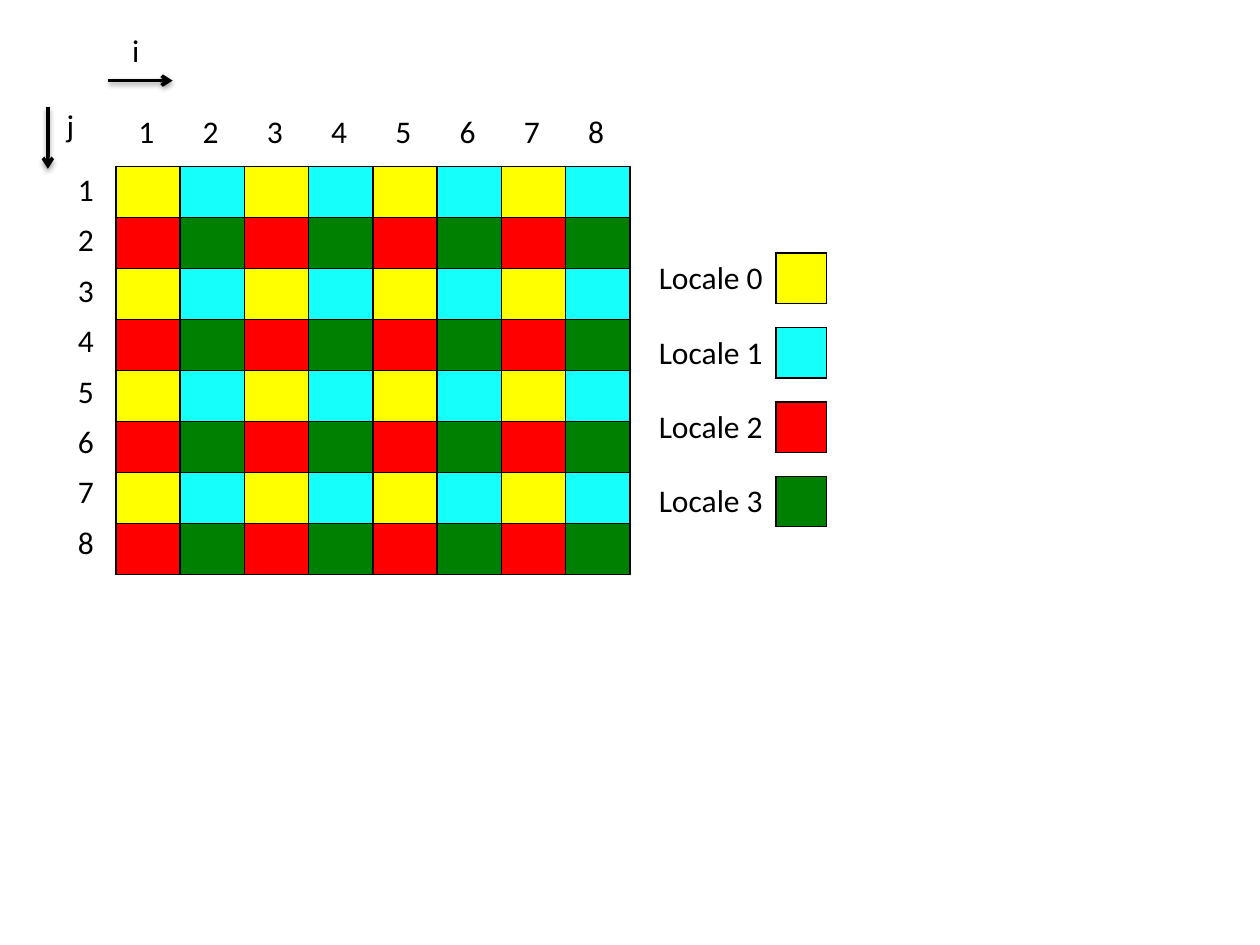
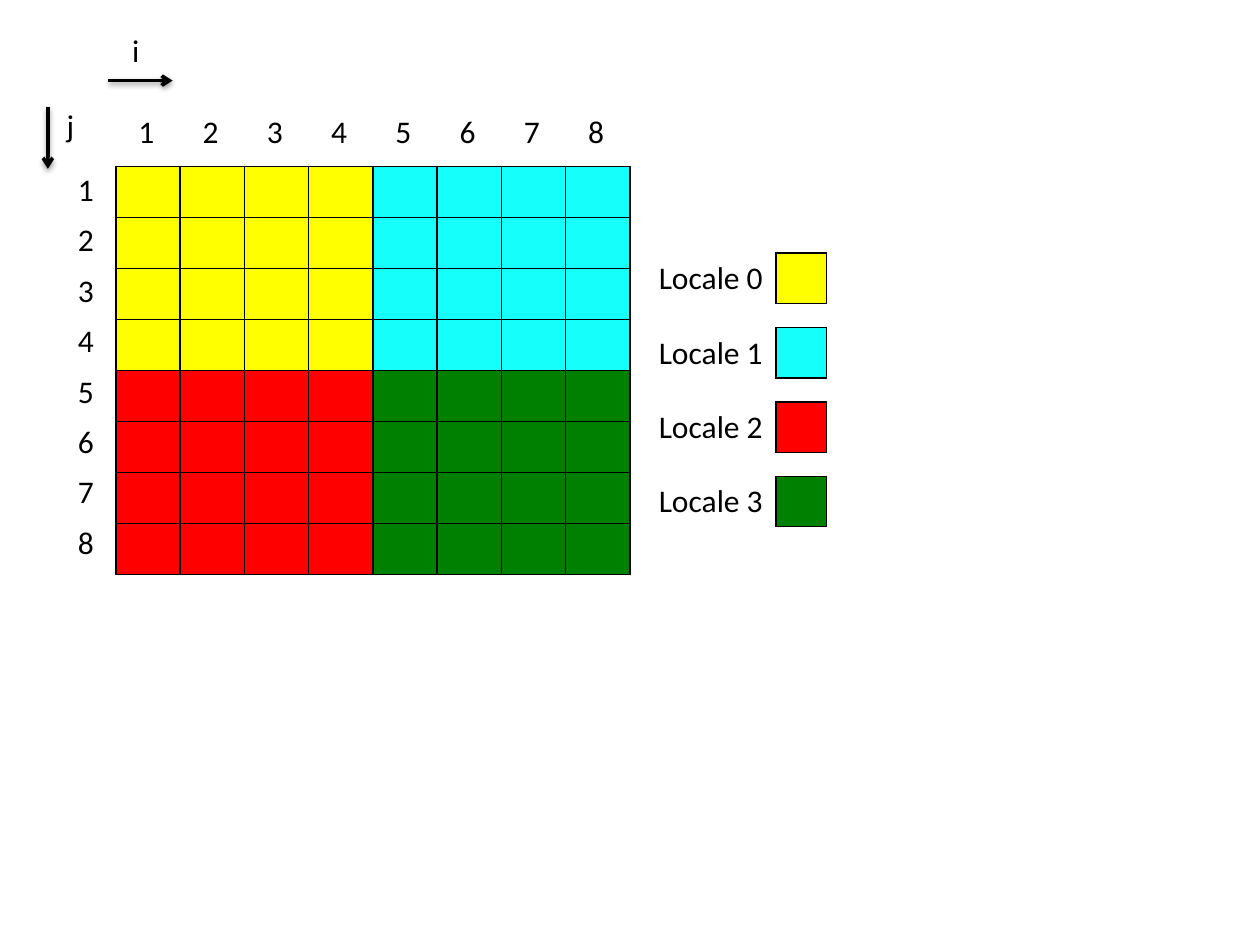
from lxml.etree import SubElement
from pptx import Presentation
from pptx.dml.color import RGBColor
from pptx.enum.shapes import MSO_CONNECTOR
from pptx.oxml import parse_xml
from pptx.oxml.ns import nsdecls, qn
from pptx.util import Inches, Pt

rgb = RGBColor.from_string
BLACK = "000000"
LOCALES = ["FFFF00", "15FFFB", "FF0000", "008000"]
SIZE = 8  # cells along each side of the index space
COL_PITCH, ROW_PITCH, KEY_PITCH = 0.51, 0.4, 0.59
SHADOW = f"""<a:effectLst {nsdecls("a")}>
  <a:outerShdw blurRad="40000" dist="20000" dir="5400000" rotWithShape="0">
    <a:srgbClr val="{BLACK}"><a:alpha val="38000"/></a:srgbClr>
  </a:outerShdw>
</a:effectLst>"""


def add_label(s, text, x, y, w):
    """Add a one-line text box."""
    tf = s.shapes.add_textbox(Inches(x), Inches(y), Inches(w), Inches(0.4)).text_frame
    tf.word_wrap = True
    tf.text = text
    font = tf.paragraphs[0].runs[0].font
    font.name, font.size, font.color.rgb = "Calibri", Pt(18), rgb(BLACK)


def add_grid(s, colors, x, y, w, h):
    """Add a table of empty black-edged cells, filled from rows of colours."""
    table = s.shapes.add_table(len(colors), len(colors[0]), Inches(x), Inches(y),
                               Inches(w), Inches(h)).table
    table.first_row = table.horz_banding = False
    for cell, color in zip(table.iter_cells(), sum(colors, [])):
        cell.margin_top = cell.margin_bottom = 0
        tcPr = cell._tc.get_or_add_tcPr()
        for edge in ("lnL", "lnR", "lnT", "lnB"):
            ln = SubElement(tcPr, qn(f"a:{edge}"), w=str(Pt(1)))
            SubElement(SubElement(ln, qn("a:solidFill")), qn("a:srgbClr"), val=BLACK)
        cell.fill.solid()
        cell.fill.fore_color.rgb = rgb(color)


prs = Presentation()
prs.slide_width, prs.slide_height = Inches(10), Inches(7.5)

# Cyclic distribution: locales alternate; block distribution: one quadrant each
cyclic = [[LOCALES[2 * (j % 2) + i % 2] for i in range(SIZE)] for j in range(SIZE)]
half = SIZE // 2
block = [[LOCALES[2 * (j // half) + i // half] for i in range(SIZE)] for j in range(SIZE)]

for distribution in (cyclic, block):
    s = prs.slides.add_slide(prs.slide_layouts[6])
    add_grid(s, distribution, 0.92, 1.32, 4.08, 3.24)

    # Column and row numbers
    for n in range(SIZE):
        add_label(s, str(n + 1), 1 + n * COL_PITCH, 0.84, 0.42)
        add_label(s, str(n + 1), 0.52, 1.3 + n * ROW_PITCH, 0.33)

    # Index directions
    for x1, y1, x2, y2 in ((0.86, 0.64, 1.37, 0.64), (0.38, 0.85, 0.38, 1.34)):
        arrow = s.shapes.add_connector(MSO_CONNECTOR.STRAIGHT, Inches(x1), Inches(y1),
                                       Inches(x2), Inches(y2))
        arrow.line.color.rgb = rgb(BLACK)
        arrow.line.width = Pt(2)
        spPr = arrow._element.spPr
        SubElement(spPr.find(qn("a:ln")), qn("a:tailEnd"), type="arrow")
        spPr.append(parse_xml(SHADOW))
    add_label(s, "i", 0.95, 0.2, 0.54)
    add_label(s, "j", 0.43, 0.79, 0.54)

    # Legend
    for n, color in enumerate(LOCALES):
        add_label(s, f"Locale {n}", 5.13, 2 + n * KEY_PITCH, 1.08)
        add_grid(s, [[color]], 6.16, 2.01 + n * KEY_PITCH, 0.4, 0.4)

prs.save("out.pptx")
